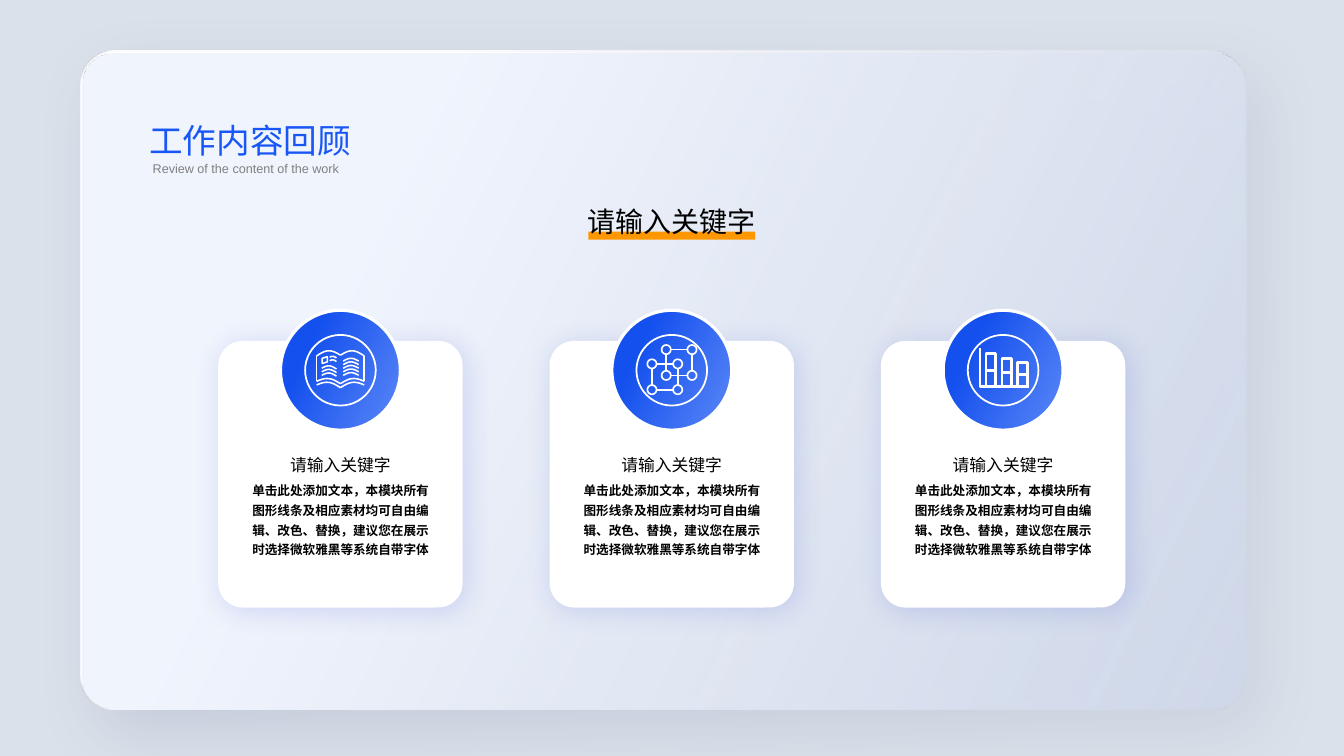
from math import cos, pi, sin
from lxml.etree import SubElement
from pptx import Presentation
from pptx.dml.color import RGBColor
from pptx.enum.shapes import MSO_SHAPE
from pptx.enum.text import MSO_ANCHOR, MSO_AUTO_SIZE, PP_ALIGN
from pptx.oxml.ns import qn
from pptx.util import Cm, Pt

WHITE = RGBColor(0xFF, 0xFF, 0xFF)
BLACK = RGBColor(0x00, 0x00, 0x00)
GREY = RGBColor(0x80, 0x80, 0x80)
BLUE = RGBColor(0x18, 0x57, 0xF6)
DEEP = RGBColor(0x14, 0x50, 0xED)
LIGHT = RGBColor(0x59, 0x86, 0xF7)
ORANGE = RGBColor(0xFF, 0x98, 0x00)
BACK = RGBColor(0xDB, 0xE1, 0xEA)
MIST = RGBColor(0xF0, 0xF4, 0xFD)
STEEL = RGBColor(0xCF, 0xD8, 0xE9)
NAVY = RGBColor(0x32, 0x42, 0x74)
INDIGO = RGBColor(0x1D, 0x32, 0xCC)

KEYWORD = "请输入关键字"
BODY = ("单击此处添加文本，本模块所有图形线条及相应素材均可自由编辑、改色、替换，"
        "建议您在展示时选择微软雅黑等系统自带字体")

deck = Presentation()
deck.slide_width, deck.slide_height = Cm(33.87), Cm(19.05)
slide = deck.slides.add_slide(deck.slide_layouts[5])
shapes = slide.shapes


def draw(kind, box, fill=None, line=None, round=None, alpha=100, shadow=None):
    """Fill is a colour, or a pair for a gradient; alpha is that of its end."""
    shape = shapes.add_shape(kind, *[Cm(v) for v in box])
    shape.shadow.inherit = False
    if round:
        shape.adjustments[0] = round
    if fill is None:
        shape.fill.background()
    elif isinstance(fill, RGBColor):
        shape.fill.solid()
        shape.fill.fore_color.rgb = fill
    else:
        shape.fill.gradient()
        shape.fill.gradient_angle = 360 - 26
        for stop, color, place in zip(shape.fill.gradient_stops, fill, (0.25, 0.99)):
            stop.color.rgb = color
            stop.position = place
        last = list(shape._element.spPr.iter(qn("a:srgbClr")))[-1]
        SubElement(last, qn("a:alpha"), val=str(alpha * 1000))
    if line:
        shape.line.color.rgb = WHITE
        shape.line.width = Pt(line)
    else:
        shape.line.fill.background()
    if shadow:
        color, opaque, blur, gap, angle = shadow
        effects = shape._element.spPr.find(qn("a:effectLst"))
        outer = SubElement(effects, qn("a:outerShdw"), blurRad=str(Pt(blur)),
                           dist=str(Pt(gap)), dir=str(angle * 60000),
                           algn="tl", rotWithShape="0")
        tint = SubElement(outer, qn("a:srgbClr"), val=str(color))
        SubElement(tint, qn("a:alpha"), val=str(opaque * 1000))


def write(words, box, size, color, align=PP_ALIGN.CENTER, bold=False,
          pitch=None, wrap=True, holder=None):
    """Put one run in a new text box, or in the given placeholder."""
    spot = [Cm(v) for v in box]
    if holder is None:
        holder = shapes.add_textbox(*spot)
    holder.left, holder.top, holder.width, holder.height = spot
    frame = holder.text_frame
    frame.word_wrap = wrap
    frame.auto_size = MSO_AUTO_SIZE.NONE
    frame.vertical_anchor = MSO_ANCHOR.TOP
    para = frame.paragraphs[0]
    para.alignment = align
    if pitch:
        para.line_spacing = Pt(pitch)
    run = para.add_run()
    run.text = words
    run.font.name = "Arial"
    run.font.size = Pt(size)
    run.font.bold = bold
    run.font.color.rgb = color


# Backdrop and glass panel
draw(MSO_SHAPE.RECTANGLE, (0, -0.08, 33.88, 19.18), BACK)
draw(MSO_SHAPE.ROUNDED_RECTANGLE, (2.03, 1.27, 29.34, 16.61), (WHITE, STEEL),
     round=0.055, alpha=68, shadow=(NAVY, 13, 45, 21, 53))
draw(MSO_SHAPE.ROUNDED_RECTANGLE, (2.08, 1.35, 29.34, 16.54), (MIST, STEEL),
     round=0.051, alpha=78)

# Title, raised above the panel
title = shapes.title
shapes._spTree.append(title._element)
write("工作内容回顾", (3.51, 2.9, 6.02, 1.27), 24, BLUE, PP_ALIGN.LEFT, holder=title)
write(" Review of the content of the work", (3.51, 3.94, 5.33, 0.64), 9, GREY,
      PP_ALIGN.LEFT, wrap=False)

# Heading with its marker
draw(MSO_SHAPE.RECTANGLE, (14.83, 5.84, 4.2, 0.2), ORANGE)
write(KEYWORD, (14.3, 5.03, 5.26, 1.12), 20, BLACK)

# Icon strokes as (points, closed), in cm from the badge centre
# Book: arcs given as start, end and rise
arcs = [(-0.47, -0.1, y, y + 0.02, 0.07) for y in (-0.05, 0.04, 0.13)]
arcs += [(-0.27, -0.1, y, y + 0.02, 0.03) for y in (-0.33, -0.24)]
arcs += [(0.07, 0.46, -0.23 + 0.09 * i, -0.23 + 0.09 * i, 0.07) for i in range(5)]
for side in (-0.6, 0.6):
    arcs += [(0, side, -0.38, -0.36, 0.12), (0, side, 0.34, 0.28, 0.1),
             (0, side, 0.44, 0.37, 0.1)]
book = [([(x0 + (x1 - x0) * t / 12, y0 + (y1 - y0) * t / 12 - rise * sin(pi * t / 12))
          for t in range(13)], False) for x0, x1, y0, y1, rise in arcs]
book += [([(x, -0.36), (x, 0.28)], False) for x in (-0.6, 0.6)]
book.append(([(-0.46, -0.3), (-0.33, -0.34), (-0.33, -0.21), (-0.46, -0.17)], True))

# Network: two squares with a ring on each corner
net, side, ring = [], 0.65, 0.115
for left, top in ((-0.14, -0.52), (-0.5, -0.16)):
    for k in (0, side):
        net.append(([(left + ring, top + k), (left + side - ring, top + k)], False))
        net.append(([(left + k, top + ring), (left + k, top + side - ring)], False))
        for m in (0, side):
            net.append(([(left + k + ring * cos(pi * t / 12),
                          top + m + ring * sin(pi * t / 12)) for t in range(24)], True))

# Bars: an axis and three split columns
bars = [([(-0.58, -0.55), (-0.58, 0.42), (0.65, 0.42)], False)]
for i, (top, mid) in enumerate(((-0.43, 0), (-0.3, 0.05), (-0.19, 0.11))):
    left = -0.43 + 0.4 * i
    right = left + 0.24
    bars.append(([(left, 0.42), (left, top), (right, top), (right, 0.42)], True))
    bars.append(([(left, mid), (right, mid)], False))

# Three cards
for i, (icon, weight) in enumerate(((book, 1.1), (net, 1.2), (bars, 2))):
    mid, high = 8.58 + 8.35 * i, 9.33
    draw(MSO_SHAPE.ROUNDED_RECTANGLE, (mid - 3.08, 8.59, 6.16, 6.72), WHITE,
         round=0.101, shadow=(INDIGO, 15, 20, 3, 45))
    write(BODY, (mid - 2.63, 11.94, 5.26, 2.24), 9, BLACK, bold=True, pitch=14)
    write(KEYWORD, (mid - 1.97, 11.33, 3.94, 0.76), 12, BLACK)
    draw(MSO_SHAPE.OVAL, (mid - 1.51, high - 1.51, 3.02, 3.02), (DEEP, LIGHT), line=2.25)
    draw(MSO_SHAPE.OVAL, (mid - 0.89, high - 0.89, 1.78, 1.78), line=1.25)
    pen = None
    for points, closed in icon:
        spots = [(x * 1000, y * 1000) for x, y in points]
        if pen is None:
            pen = shapes.build_freeform(*spots[0], scale=Cm(0.001))
        else:
            pen.move_to(*spots[0])
        pen.add_line_segments(spots[1:], close=closed)
    glyph = pen.convert_to_shape(Cm(mid), Cm(high))
    glyph.shadow.inherit = False
    glyph.fill.background()
    glyph.line.color.rgb = WHITE
    glyph.line.width = Pt(weight)

deck.save("out.pptx")
